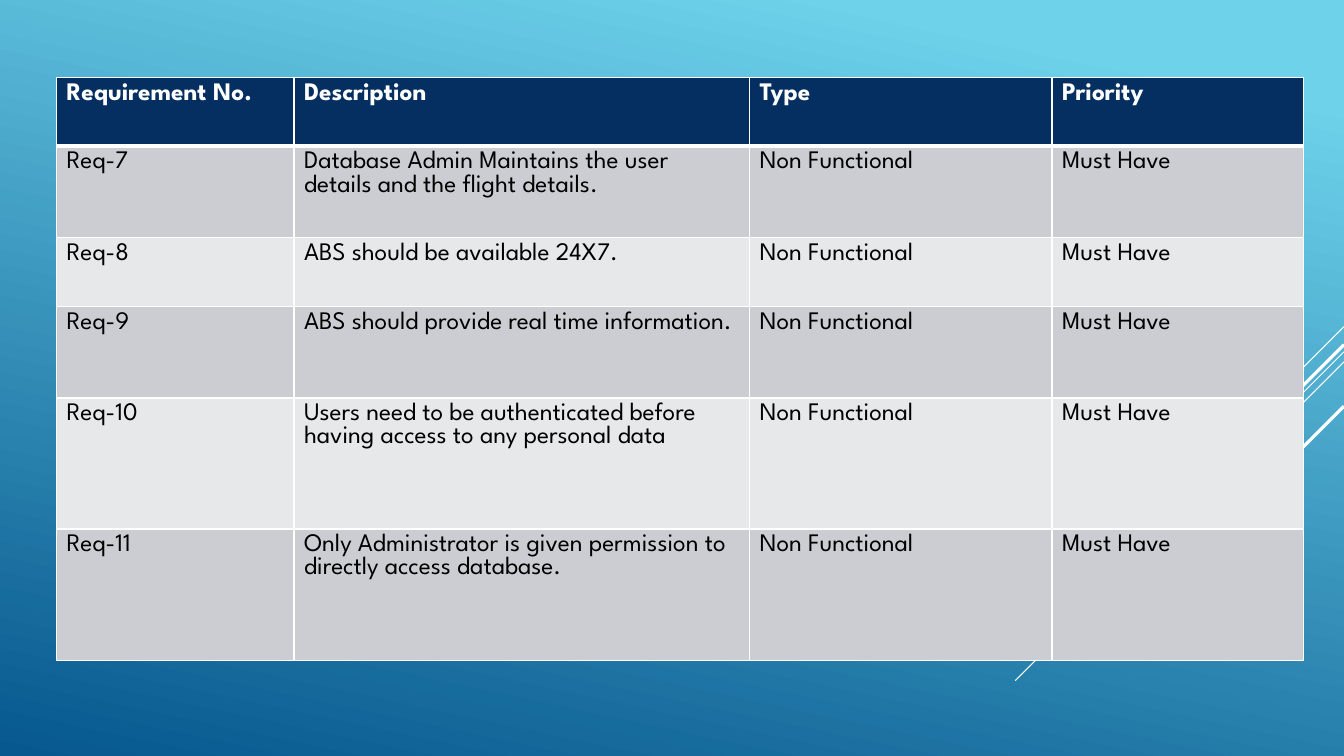
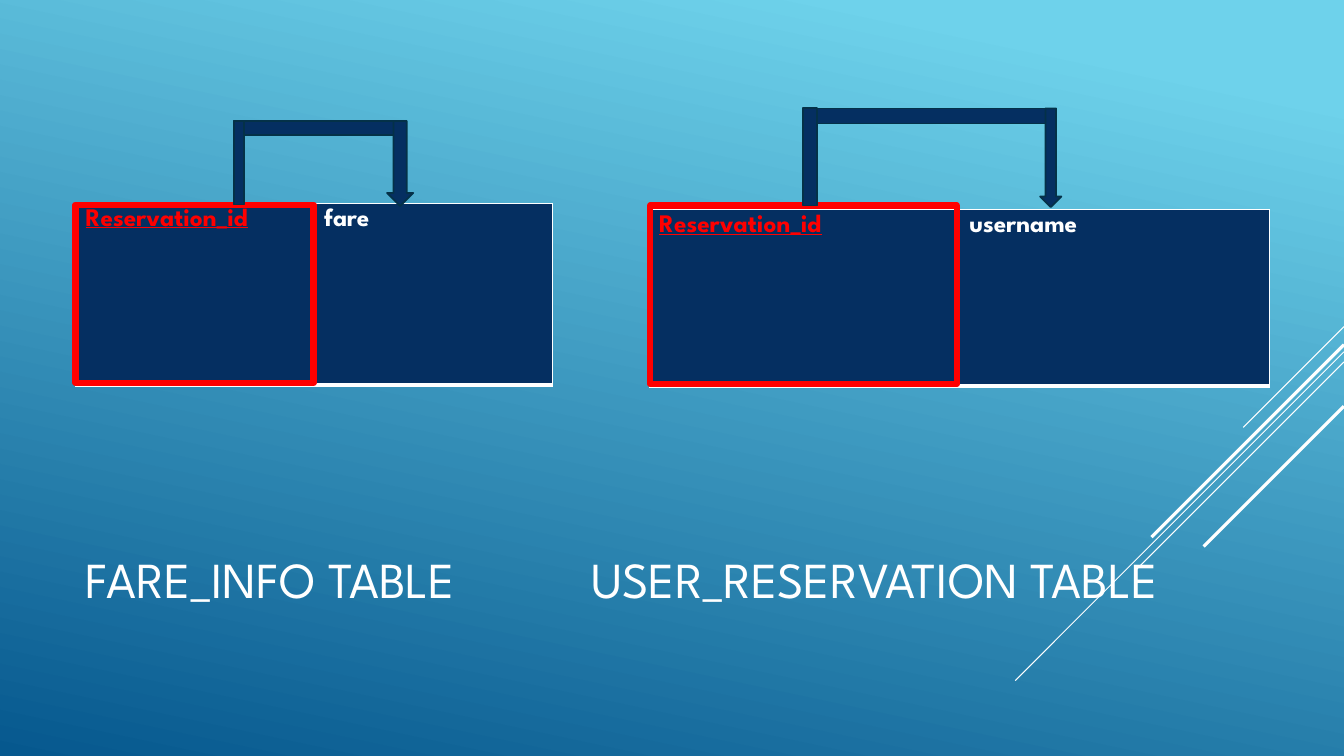
from collections import namedtuple

from lxml.etree import SubElement
from pptx import Presentation
from pptx.dml.color import RGBColor
from pptx.enum.shapes import MSO_CONNECTOR, MSO_SHAPE
from pptx.enum.text import MSO_ANCHOR, MSO_AUTO_SIZE, PP_ALIGN
from pptx.oxml.ns import qn
from pptx.util import Pt

SKY = RGBColor(0x6E, 0xD2, 0xEB)
OCEAN = RGBColor(0x06, 0x58, 0x8E)
NAVY = RGBColor(0x05, 0x2F, 0x61)
NAVY_EDGE = RGBColor(0x04, 0x31, 0x48)
RED = RGBColor(0xFF, 0x00, 0x00)
WHITE = RGBColor(0xFF, 0xFF, 0xFF)
BLACK = RGBColor(0x00, 0x00, 0x00)
BAND_DARK = RGBColor(0xCC, 0xCD, 0xD2)
BAND_LIGHT = RGBColor(0xE7, 0xE8, 0xEA)
FONT = "League Spartan"
SLIDE_WIDTH, SLIDE_HEIGHT = 960, 540

Box = namedtuple("Box", "left top width height")
Hook = namedtuple("Hook", "left rise beam_width beam_height post_width head_left head_width")

STREAKS = [
    (233.3, 72, 0.75),
    (251.3, 234.8, 0.75),
    (258.5, 149.2, 0.75),
    (246.2, 137.5, 2.25),
    (290.2, 100.2, 2.25),
]

COLUMN_WIDTHS = [169.7, 325.5, 216, 179.4]
ROW_HEIGHTS = [49, 65.5, 49, 65.5, 93.6, 93.6]
HEADINGS = ["Requirement No.", "Description", "Type", "Priority"]
DESCRIPTIONS = [
    "Database Admin Maintains the user details and the flight details.",
    "ABS should be available 24X7.",
    "ABS should provide real time information.",
    "Users need to be authenticated before having access to any personal data",
    "Only Administrator is given permission to directly access database.",
]
FIRST_REQUIREMENT = 7


def style_master(master):
    fill = master.background.fill
    fill.gradient()
    fill.gradient_angle = 258
    for stop, (position, colour) in zip(fill.gradient_stops, [(0.1, SKY), (1, OCEAN)]):
        stop.position = position
        stop.color.rgb = colour


def add_streaks(master, slide):
    for number, (top, reach, weight) in enumerate(STREAKS):
        streak = slide.shapes.add_connector(
            MSO_CONNECTOR.STRAIGHT,
            Pt(SLIDE_WIDTH), Pt(top), Pt(SLIDE_WIDTH - reach), Pt(top + reach),
        )
        streak.line.color.rgb = WHITE
        streak.line.width = Pt(weight)
        SubElement(streak.element.spPr, qn("a:effectLst"))
        streak.element.nvCxnSpPr.cNvPr.set("id", str(100 + number))
        master.shapes.element.append(streak.element)


def add_text(paragraph, text, size, colour, bold=False, underline=False):
    run = paragraph.add_run()
    run.text = text
    run.font.name = FONT
    run.font.size = Pt(size)
    run.font.bold = bold
    run.font.underline = underline
    run.font.color.rgb = colour


def set_borders(cell, top, bottom):
    properties = cell._tc.get_or_add_tcPr()
    for side, weight in [("lnL", 1), ("lnR", 1), ("lnT", top), ("lnB", bottom)]:
        border = SubElement(properties, qn(f"a:{side}"), w=str(Pt(weight)))
        paint = SubElement(border, qn("a:solidFill"))
        SubElement(paint, qn("a:srgbClr"), val=str(WHITE))


def fill_cell(cell, text, fill, colour, bold, underline=False, top=1, bottom=1):
    set_borders(cell, top, bottom)
    cell.fill.solid()
    cell.fill.fore_color.rgb = fill
    add_text(cell.text_frame.paragraphs[0], text, 18, colour, bold, underline)


def add_grid(slide, left, top, widths, heights):
    grid = slide.shapes.add_table(
        len(heights), len(widths), Pt(left), Pt(top), Pt(sum(widths)), Pt(sum(heights))
    ).table
    grid.first_row = False
    grid.horz_banding = False
    for column, width in zip(grid.columns, widths):
        column.width = Pt(width)
    for row, height in zip(grid.rows, heights):
        row.height = Pt(height)
    return grid


def add_requirements(slide, left, top):
    grid = add_grid(slide, left, top, COLUMN_WIDTHS, ROW_HEIGHTS)
    for column, heading in enumerate(HEADINGS):
        fill_cell(grid.cell(0, column), heading, NAVY, WHITE, True, bottom=3)
    for row, description in enumerate(DESCRIPTIONS, 1):
        number = f"Req-{FIRST_REQUIREMENT + row - 1}"
        band = BAND_DARK if row % 2 else BAND_LIGHT
        for column, text in enumerate([number, description, "Non Functional", "Must Have"]):
            fill_cell(grid.cell(row, column), text, band, BLACK, False,
                      top=3 if row == 1 else 1)


def add_block(slide, kind, box):
    block = slide.shapes.add_shape(kind, *(Pt(length) for length in box))
    block.shadow.inherit = False
    return block


def add_hook(slide, box, hook):
    left = box.left + hook.left
    top = box.top - hook.rise
    parts = [
        (MSO_SHAPE.RECTANGLE, Box(left, top, hook.beam_width, hook.beam_height)),
        (MSO_SHAPE.RECTANGLE, Box(left, top, hook.post_width, hook.rise)),
        (MSO_SHAPE.DOWN_ARROW, Box(left + hook.head_left, top, hook.head_width, hook.rise + 1)),
    ]
    for kind, part in parts:
        block = add_block(slide, kind, part)
        block.fill.solid()
        block.fill.fore_color.rgb = NAVY
        block.line.color.rgb = NAVY_EDGE
        block.line.width = Pt(1.25)


def add_relation(slide, box, key_box, dependent, hook):
    grid = add_grid(slide, box.left, box.top, [box.width / 2] * 2, [box.height])
    fill_cell(grid.cell(0, 0), "Reservation_id", NAVY, RED, True, True, bottom=3)
    fill_cell(grid.cell(0, 1), dependent, NAVY, WHITE, True, bottom=3)
    key_frame = add_block(slide, MSO_SHAPE.RECTANGLE, key_box)
    key_frame.fill.background()
    key_frame.line.color.rgb = RED
    key_frame.line.width = Pt(4.5)
    add_hook(slide, key_box, hook)


def add_title(slide, box, text, tab):
    title = slide.shapes.title
    title.left, title.top, title.width, title.height = (Pt(length) for length in box)
    frame = title.text_frame
    frame.word_wrap = True
    frame.auto_size = MSO_AUTO_SIZE.NONE
    frame.vertical_anchor = MSO_ANCHOR.MIDDLE
    paragraph = frame.paragraphs[0]
    paragraph.alignment = PP_ALIGN.LEFT
    stops = SubElement(paragraph._p.get_or_add_pPr(), qn("a:tabLst"))
    SubElement(stops, qn("a:tab"), pos=str(Pt(tab)), algn="l")
    add_text(paragraph, text, 36, WHITE)


def build_relations(slide):
    add_title(slide, Box(54, 353.5, 885.6, 118.8),
              "FARE_INFO TABLE\tUSER_RESERVATION TABLE", 361)
    add_relation(
        slide, Box(54, 145.4, 340.8, 129.6), Box(54, 146.2, 170, 127.4), "fare",
        Hook(113, 59.8, 116, 10.1, 7.2, 109.5, 18.7),
    )
    add_relation(
        slide, Box(463.7, 149.8, 443, 126), Box(464.4, 146.9, 219, 127.4), "username",
        Hook(109.4, 69.5, 175.7, 10.8, 10.1, 169.2, 15.1),
    )


def main():
    deck = Presentation()
    deck.slide_width, deck.slide_height = Pt(SLIDE_WIDTH), Pt(SLIDE_HEIGHT)
    style_master(deck.slide_master)
    requirements = deck.slides.add_slide(deck.slide_layouts[6])
    add_streaks(deck.slide_master, requirements)
    add_requirements(requirements, 40.3, 55.4)
    build_relations(deck.slides.add_slide(deck.slide_layouts[5]))
    deck.save("out.pptx")


if __name__ == "__main__":
    main()
